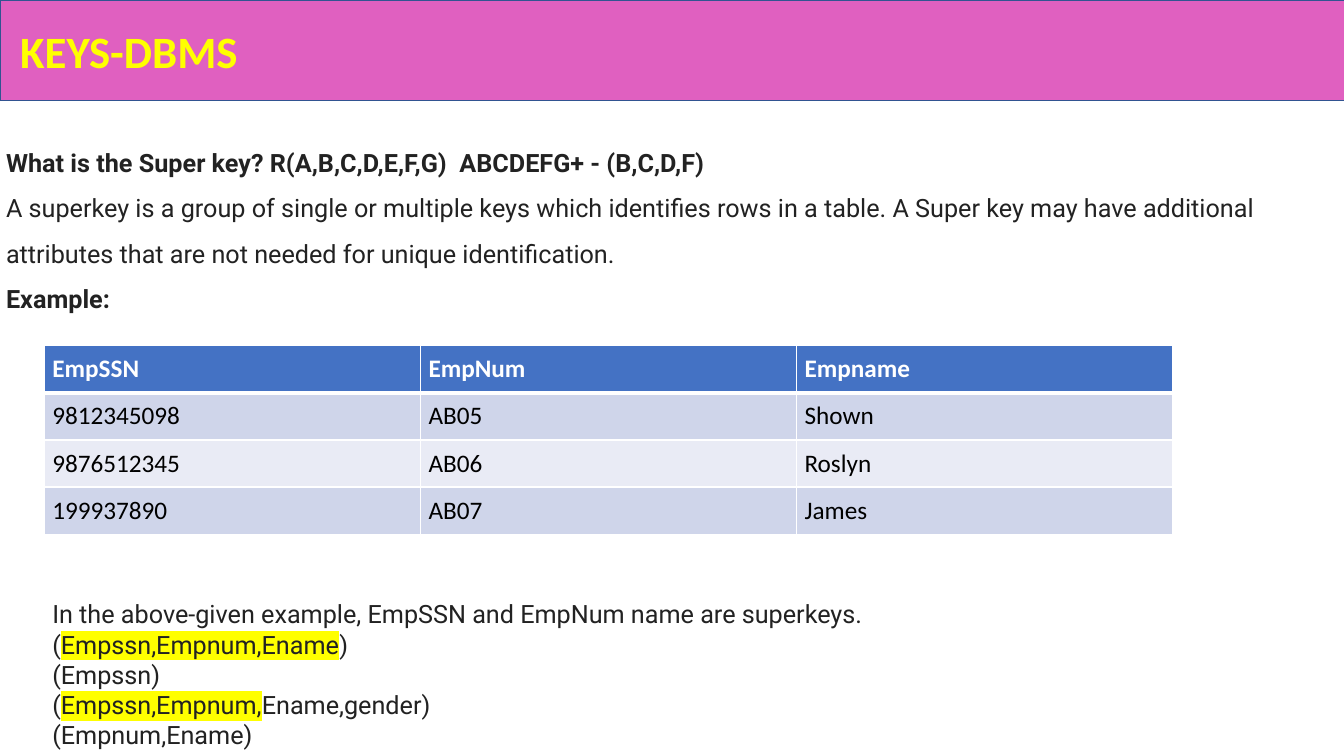
from lxml import etree
from pptx import Presentation
from pptx.dml.color import RGBColor
from pptx.enum.text import MSO_ANCHOR, MSO_AUTO_SIZE, PP_ALIGN
from pptx.oxml.ns import qn
from pptx.util import Inches, Pt

LEFT = PP_ALIGN.LEFT
TOP, MIDDLE = MSO_ANCHOR.TOP, MSO_ANCHOR.MIDDLE
NO_FIT = MSO_AUTO_SIZE.NONE

PINK, NAVY, YELLOW, WHITE = "E060C0", "325491", "FFFF00", "FFFFFF"
DARK, BLACK, BLUE = "222222", "000000", "4472C4"
BANDS = ("CFD5EA", "E9EBF5")

DEFINITION = [
    ("What is the Super key? R(A,B,C,D,E,F,G)  ABCDEFG+ - (B,C,D,F)", True),
    ("A superkey is a group of single or multiple keys which identifies rows "
     "in a table. A Super key may have additional attributes that are not "
     "needed for unique identification.", False),
    ("Example:", True),
]
EMPLOYEES = [
    ("EmpSSN", "EmpNum", "Empname"),
    ("9812345098", "AB05", "Shown"),
    ("9876512345", "AB06", "Roslyn"),
    ("199937890", "AB07", "James"),
]
# Each paragraph is a list of (text, highlighted) runs
SUPERKEYS = [
    [("In the above-given example, EmpSSN and EmpNum name are superkeys. (", False),
     ("Empssn,Empnum,Ename", True), (")", False)],
    [("(Empssn)", False)],
    [("(", False), ("Empssn,Empnum,", True), ("Ename,gender)", False)],
    [("(Empnum,Ename)", False)],
]


def rgb(color):
    return RGBColor.from_string(color)


def place(s, box):
    s.left, s.top, s.width, s.height = (Inches(v) for v in box)


def style(p, name, size, color, bold=False):
    p.alignment = LEFT
    p.font.name, p.font.size, p.font.bold = name, Pt(size), bold
    p.font.color.rgb = rgb(color)


def add_solid(parent, color):
    fill = etree.SubElement(parent, qn("a:solidFill"))
    etree.SubElement(fill, qn("a:srgbClr"), val=color)


def set_border(cell, side, width, color):
    tcPr = cell._tc.get_or_add_tcPr()
    add_solid(etree.SubElement(tcPr, qn("a:ln" + side), w=str(Pt(width))), color)


def highlight(r, color):
    mark = etree.SubElement(r._r.get_or_add_rPr(), qn("a:highlight"))
    etree.SubElement(mark, qn("a:srgbClr"), val=color)


def add_banner(s, box, text):
    place(s, box)
    s.fill.solid()
    s.fill.fore_color.rgb = rgb(PINK)
    s.line.color.rgb = rgb(NAVY)
    s.line.width = Pt(1)
    tf = s.text_frame
    tf.text = text
    tf.auto_size, tf.vertical_anchor = NO_FIT, MIDDLE
    style(tf.paragraphs[0], "Calibri", 32, YELLOW, True)


def add_definition(s, box, lines):
    place(s, box)
    tf = s.text_frame
    tf.text = "\n".join(text for text, _ in lines)
    tf.auto_size, tf.vertical_anchor = NO_FIT, TOP
    for p, (_, bold) in zip(tf.paragraphs, lines):
        style(p, "Roboto", 18, DARK, bold)
        p.line_spacing, p.space_before = 1.5, Pt(0)
        # Plain paragraphs: no bullet and no hanging indent
        pPr = p._p.get_or_add_pPr()
        pPr.set("marL", "0")
        pPr.set("indent", "0")
        pPr.insert_element_before(etree.Element(qn("a:buNone")),
                                  "a:tabLst", "a:defRPr", "a:extLst")


def add_employee_table(slide, box, rows):
    size = [Inches(v) for v in box]
    table = slide.shapes.add_table(len(rows), len(rows[0]), *size).table
    for i, row in enumerate(rows):
        header = i == 0
        table.rows[i].height = Inches(box[3] / len(rows))
        for j, text in enumerate(row):
            cell = table.cell(i, j)
            cell.text = text
            cell.margin_left = cell.margin_right = Inches(0.08)
            cell.margin_top = cell.margin_bottom = Inches(0.08)
            style(cell.text_frame.paragraphs[0], "Calibri", 18,
                  WHITE if header else BLACK, header)
            # A thick rule separates the header from the data
            widths = {"L": 1, "R": 1, "T": 3 if i == 1 else 1, "B": 3 if header else 1}
            for side, width in widths.items():
                set_border(cell, side, width, WHITE)
            cell.fill.solid()
            cell.fill.fore_color.rgb = rgb(BLUE if header else BANDS[(i - 1) % 2])


def add_superkeys(slide, box, paragraphs):
    tf = slide.shapes.add_textbox(*(Inches(v) for v in box)).text_frame
    tf.word_wrap = True
    for i, runs in enumerate(paragraphs):
        p = tf.add_paragraph() if i else tf.paragraphs[0]
        style(p, "Roboto", 18, DARK)
        for text, marked in runs:
            r = p.add_run()
            r.text = text
            if marked:
                highlight(r, YELLOW)


def main():
    prs = Presentation()
    prs.slide_width, prs.slide_height = Inches(13.33), Inches(7.5)
    slide = prs.slides.add_slide(prs.slide_layouts[1])
    add_banner(slide.shapes.title, (0, 0, 13.34, 1), " KEYS-DBMS")
    add_definition(slide.placeholders[1], (-0.04, 1.26, 13.22, 1.87), DEFINITION)
    add_employee_table(slide, (0.44, 3.43, 11.19, 1.87), EMPLOYEES)
    add_superkeys(slide, (0.42, 5.89, 9.88, 1.62), SUPERKEYS)
    prs.save("out.pptx")


if __name__ == "__main__":
    main()
